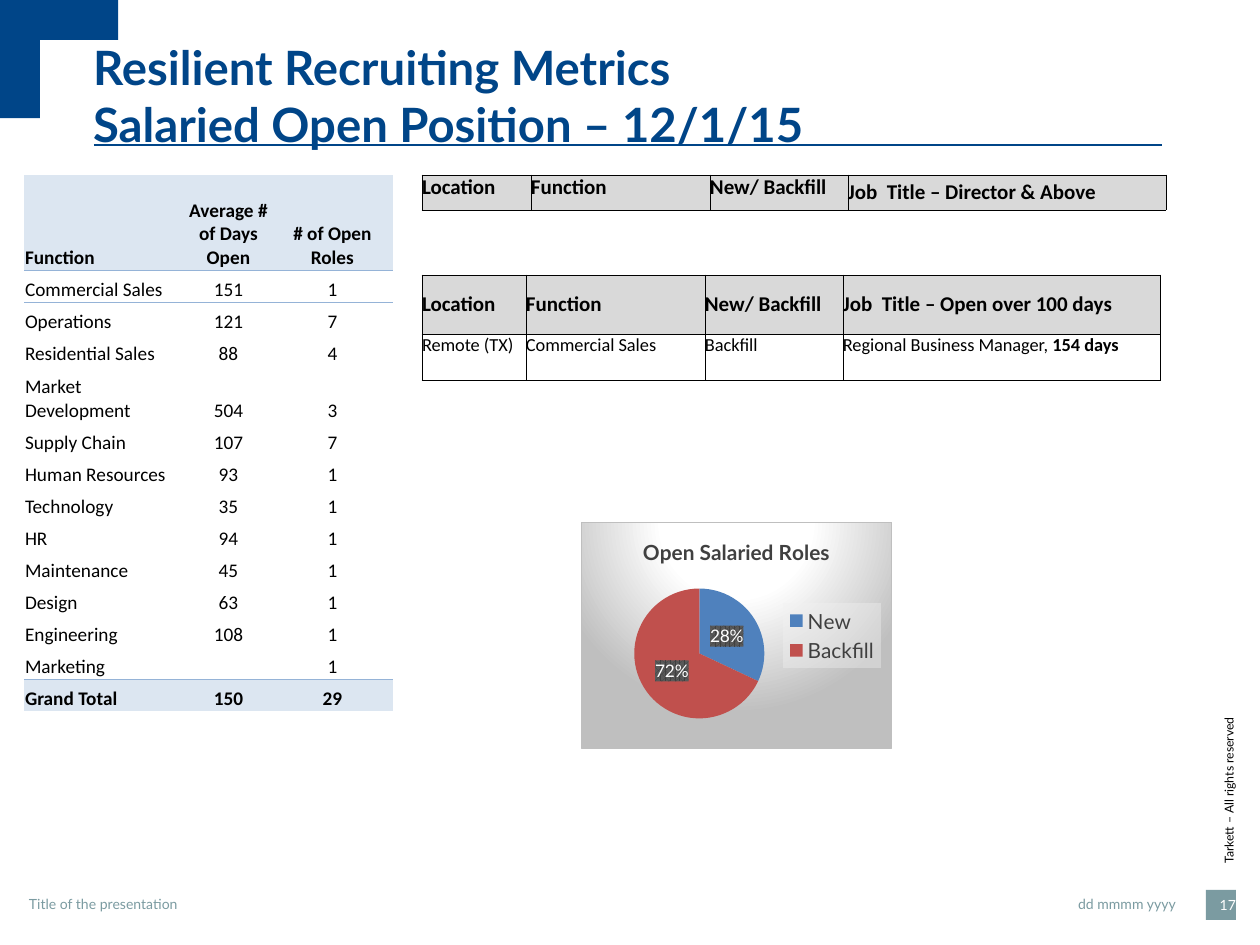
import dataclasses

import pptx
import pptx.chart.data
import pptx.dml.color
import pptx.enum.chart
import pptx.enum.shapes
import pptx.enum.text
import pptx.oxml
import pptx.oxml.ns
import pptx.util

ALIGN = pptx.enum.text.PP_ALIGN
ANCHOR = pptx.enum.text.MSO_ANCHOR
SIDES = ("left", "right", "top", "bottom")
PLAIN = "{2D5ABB26-0587-4C30-8999-92F81FD0307C}"


@dataclasses.dataclass(frozen=True)
class Theme:
    navy: str = "004588"
    teal: str = "7B9BA1"
    black: str = "000000"
    white: str = "FFFFFF"
    ink: str = "404040"
    grey: str = "D9D9D9"
    edge: str = "BFBFBF"
    tint: str = "DCE6F1"
    rule: str = "95B3D7"
    slices: tuple = ("4F81BD", "C0504D")
    face: str = "Lato"
    cells: str = "Calibri"
    title: float = 27
    head: float = 12
    staff: float = 11
    body: float = 10.5
    label: float = 10
    foot: float = 8
    side: float = 7


T = Theme()


def px(n):
    return round(n * 914400 / 126)


def place(*box):
    return [px(n) for n in box]


def rgb(code):
    return pptx.dml.color.RGBColor.from_string(code)


def put(thing, **values):
    for key, value in values.items():
        setattr(thing, key, value)


def style(font, size, color=T.black, bold=False, name=T.face):
    put(font, size=pptx.util.Pt(size), bold=bold, name=name)
    font.color.rgb = rgb(color)


def node(xml):
    """Parse one element; its first tag receives the a and c namespaces."""
    tag = xml[1:].split(">")[0].split("/")[0].split()[0]
    return pptx.oxml.parse_xml(xml.replace(tag, tag + " " + pptx.oxml.ns.nsdecls("a", "c"), 1))


def paint(shape, color):
    shape.shadow.inherit = False
    shape.fill.solid()
    shape.fill.fore_color.rgb = rgb(color)
    shape.line.fill.background()


def write(shape, text, size, color, align=ALIGN.LEFT, inset=5, bold=False, wrap=True,
          anchor=ANCHOR.TOP):
    frame = shape.text_frame
    put(frame, margin_left=px(inset), margin_right=px(inset), margin_top=0, margin_bottom=0,
        word_wrap=wrap, vertical_anchor=anchor)
    para = frame.paragraphs[0]
    put(para, text=text, alignment=align)
    for run in para.runs:
        style(run.font, size, color, bold)


def header(slide, x, y):
    shapes = slide.shapes
    arm, thick = 118, 40
    pen = shapes.build_freeform(px(x), px(y))
    pen.add_line_segments([place(x + a, y + b) for a, b in (
        (arm, 0), (arm, thick), (thick, thick), (thick, arm), (0, arm))])
    paint(pen.convert_to_shape(), T.navy)
    line = shapes.add_connector(pptx.enum.shapes.MSO_CONNECTOR.STRAIGHT,
                                *place(x + 94, y + 145, x + 1162, y + 145))
    line.line.color.rgb = rgb(T.navy)
    line.line.width = pptx.util.Pt(1)
    line._element.spPr.append(node("<a:effectLst/>"))
    box = shapes.add_textbox(*place(x + 88, y + 38, 1066, 115))
    write(box, "Resilient Recruiting Metrics\nSalaried Open Position – 12/1/15",
          T.title, T.navy, bold=True, anchor=ANCHOR.MIDDLE)


def footer(slide, x, y):
    shapes = slide.shapes
    for left, width, text, align in (
            (0, 428, "Title of the presentation", ALIGN.LEFT),
            (983, 174, "dd mmmm yyyy", ALIGN.RIGHT)):
        box = shapes.add_textbox(*place(x + left, y + 6, width, 16))
        write(box, text, T.foot, T.teal, align)
    page = shapes.add_shape(pptx.enum.shapes.MSO_SHAPE.RECTANGLE,
                            *place(x + 1182, y, 30, 30))
    paint(page, T.teal)
    write(page, "17", T.foot, T.white, ALIGN.RIGHT, 0, wrap=False, anchor=ANCHOR.MIDDLE)
    note = shapes.add_textbox(*place(x + 1128, y - 111, 154, 15))
    note.rotation = 270
    write(note, "Tarkett – All rights reserved", T.side, T.black, inset=0, wrap=False)


def fill_cell(cell, parts, size, bold=False, fill=None, anchor=ANCHOR.TOP,
              align=ALIGN.LEFT, inset=0, edges="", color=T.black):
    """Write a cell; parts after the first are bold, edges is a choice of LRTB."""
    put(cell, vertical_anchor=anchor, margin_left=px(inset), margin_right=px(inset),
        margin_top=px(inset), margin_bottom=0)
    props = cell._tc.get_or_add_tcPr()
    for edge in "LRTB":
        if edge in edges:
            props.append(node(f'<a:ln{edge} w="6350"><a:solidFill><a:srgbClr val="{color}"/>'
                              f'</a:solidFill></a:ln{edge}>'))
    if fill:
        cell.fill.solid()
        cell.fill.fore_color.rgb = rgb(fill)
    else:
        cell.fill.background()
    para = cell.text_frame.paragraphs[0]
    para.alignment = align
    style(para.font, size, bold=bold, name=T.cells)
    for i, part in enumerate(parts):
        run = para.add_run()
        run.text = part
        style(run.font, size, bold=bold or i > 0, name=T.cells)


def grid(slide, x, y, cols, rows, data, look):
    """Draw a table whose cell formats come from look(row, col)."""
    table = slide.shapes.add_table(len(rows), len(cols),
                                   *place(x, y, sum(cols), sum(rows))).table
    put(table, first_row=False, horz_banding=False)
    table._tbl.tblPr.find(pptx.oxml.ns.qn("a:tableStyleId")).text = PLAIN
    for col, width in zip(table.columns, cols):
        col.width = px(width)
    for row, height in zip(table.rows, rows):
        row.height = px(height)
    for r, line in enumerate(data):
        for c, text in enumerate(line):
            parts = text if isinstance(text, tuple) else (text,)
            fill_cell(table.cell(r, c), [p for p in parts if p], **look(r, c))


def staff(slide, x, y):
    data = [("Function", "Average # of Days Open", "# of Open Roles"),
            ("Commercial Sales", "151", "1"), ("Operations", "121", "7"),
            ("Residential Sales", "88", "4"), ("Market Development", "504", "3"),
            ("Supply Chain", "107", "7"), ("Human Resources", "93", "1"),
            ("Technology", "35", "1"), ("HR", "94", "1"), ("Maintenance", "45", "1"),
            ("Design", "63", "1"), ("Engineering", "108", "1"), ("Marketing", "", "1"),
            ("Grand Total", "150", "29")]
    last = len(data) - 1
    rows = [95] + [32] * last
    rows[4] = 57
    edges = {0: "B", 1: "T", last - 1: "B", last: "T"}

    def look(r, c):
        key = r in (0, last)
        return dict(size=T.staff, bold=key, fill=T.tint if key else None,
                    anchor=ANCHOR.BOTTOM, align=ALIGN.CENTER if c else ALIGN.LEFT,
                    inset=1, edges=edges.get(r, ""), color=T.rule)

    grid(slide, x, y, [161, 87, 121], rows, data, look)


def jobs(slide, x, y, first, rows, topic, data, anchors):
    """Draw a list of jobs; anchors sets where the text of each head cell sits."""
    heads = ("Location", "Function", "New/ Backfill", f"Job  Title – {topic}")

    def look(r, c):
        if r:
            return dict(size=T.body, edges="LRTB")
        return dict(size=T.head, bold=True, fill=T.grey, anchor=anchors[c], edges="LRTB")

    grid(slide, x, y, [first, 179, 138, 318], rows, [heads] + data, look)


def roles(slide, x, y, w, h):
    kinds = pptx.enum.chart
    data = pptx.chart.data.CategoryChartData()
    data.categories = ["New", "Backfill"]
    data.add_series("Series 1", (32, 68))
    chart = slide.shapes.add_chart(kinds.XL_CHART_TYPE.PIE, *place(x, y, w, h), data).chart
    style(chart.font, T.label)
    put(chart, has_title=True, has_legend=True)
    para = chart.chart_title.text_frame.paragraphs[0]
    para.text = "Open Salaried Roles"
    style(para.runs[0].font, T.head, T.ink, True)
    put(chart.legend, position=kinds.XL_LEGEND_POSITION.RIGHT, include_in_layout=False)
    style(chart.legend.font, T.head, T.ink)
    chart.legend._element.find(pptx.oxml.ns.qn("c:txPr")).addprevious(node(
        '<c:spPr><a:solidFill><a:srgbClr val="F2F2F2"><a:alpha val="39000"/></a:srgbClr>'
        '</a:solidFill></c:spPr>'))

    plot = chart.plots[0]
    plot.vary_by_categories = True
    series = plot.series[0]
    put(series.data_labels, show_percentage=True, show_value=False,
        position=kinds.XL_LABEL_POSITION.CENTER)
    for i, (color, text) in enumerate(zip(T.slices, ("28%", "72%"))):
        point = series.points[i]
        point.format.fill.solid()
        point.format.fill.fore_color.rgb = rgb(color)
        label = point.data_label
        para = label.text_frame.paragraphs[0]
        para.text = text
        style(para.runs[0].font, T.label, T.white)
        label.position = kinds.XL_LABEL_POSITION.CENTER
        label._dLbl.find(pptx.oxml.ns.qn("c:tx")).addnext(node(
            f'<c:spPr><a:pattFill prst="pct75"><a:fgClr><a:srgbClr val="{T.ink}"/></a:fgClr>'
            '<a:bgClr><a:srgbClr val="595959"/></a:bgClr></a:pattFill></c:spPr>'))

    area = chart._chartSpace.chart.plotArea
    for old in area.findall(pptx.oxml.ns.qn("c:layout")):
        area.remove(old)
    spots = "".join(f'<c:{k} val="{v}"/>' for k, v in (
        ("layoutTarget", "inner"), ("xMode", "edge"), ("yMode", "edge"),
        ("x", 0.17), ("y", 0.29), ("w", 0.42), ("h", 0.58)))
    area.insert(0, node(f"<c:layout><c:manualLayout>{spots}</c:manualLayout></c:layout>"))
    stops = "".join(f'<a:gs pos="{pos}000"><a:srgbClr val="{color}"/></a:gs>'
                    for pos, color in ((0, T.white), (39, T.white), (100, T.edge)))
    chart._chartSpace.chart.addnext(node(
        f'<c:spPr><a:gradFill><a:gsLst>{stops}</a:gsLst><a:path path="circle">'
        '<a:fillToRect l="50000" t="-80000" r="50000" b="180000"/></a:path></a:gradFill>'
        f'<a:ln w="9525"><a:solidFill><a:srgbClr val="{T.edge}"/></a:solidFill></a:ln></c:spPr>'))


def main():
    deck = pptx.Presentation()
    put(deck, slide_width=px(1260), slide_height=px(945))
    slide = deck.slides.add_slide(deck.slide_layouts[6])
    header(slide, 0, 0)
    footer(slide, 24, 890)
    jobs(slide, 422, 175, 109, [35], "Director & Above", [],
         [ANCHOR.TOP] * 3 + [ANCHOR.MIDDLE])
    roles(slide, 581, 522, 311, 227)
    jobs(slide, 422, 275, 104, [59, 46], "Open over 100 days",
         [("Remote (TX)", "Commercial Sales", "Backfill",
           ("Regional Business Manager, ", "154 days"))], [ANCHOR.MIDDLE] * 4)
    staff(slide, 24, 175)
    deck.save("out.pptx")


if __name__ == "__main__":
    main()
